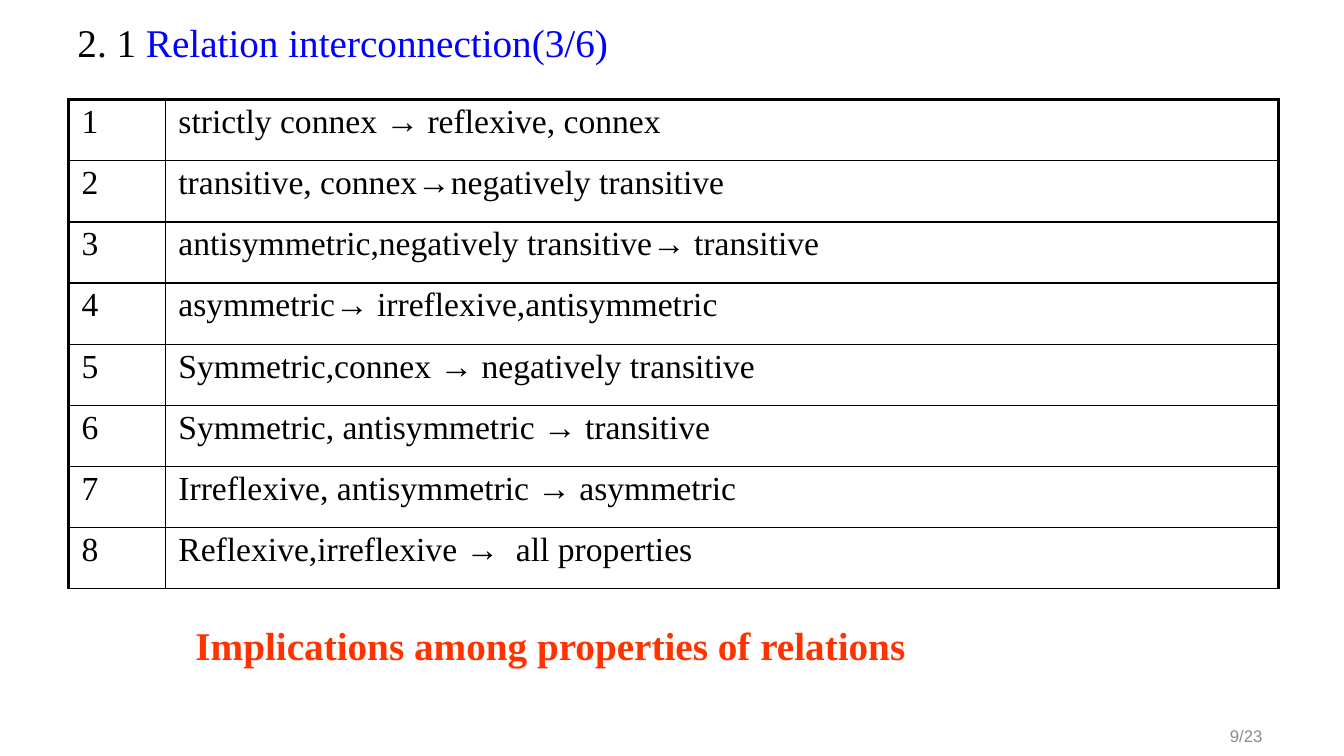
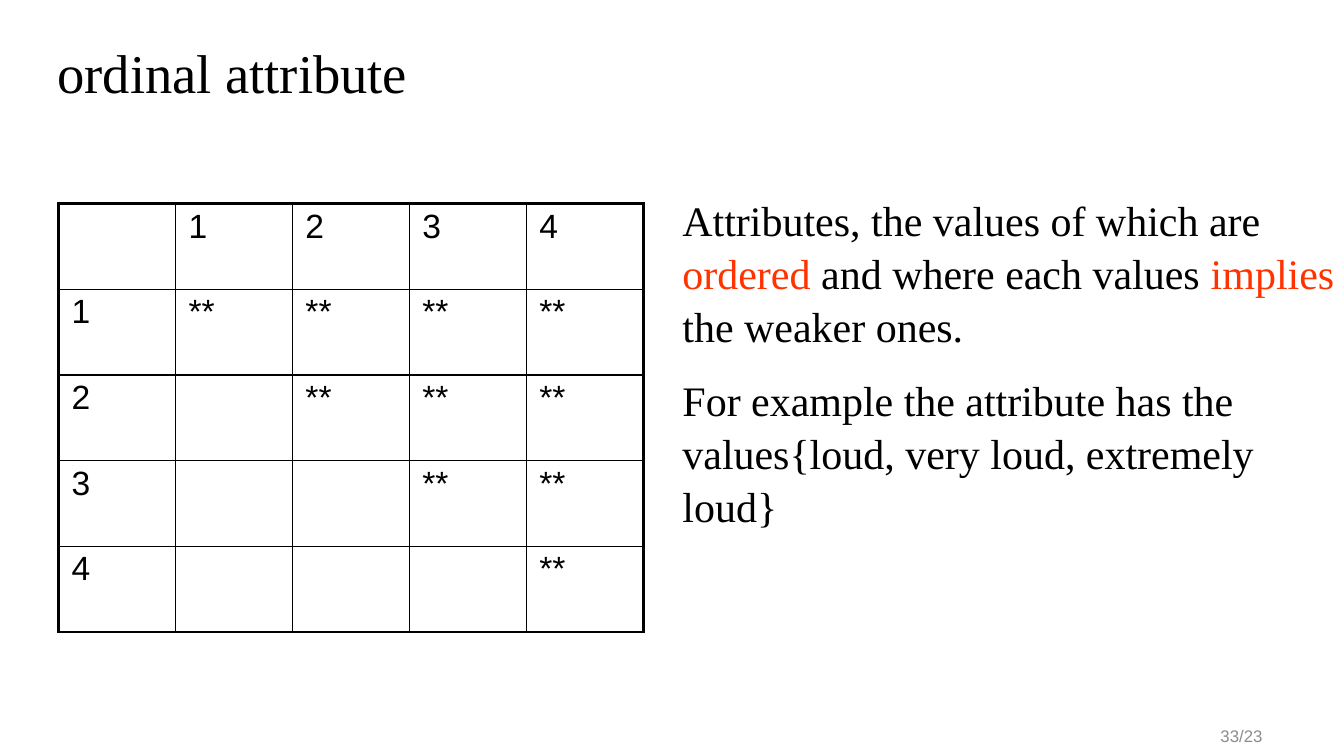
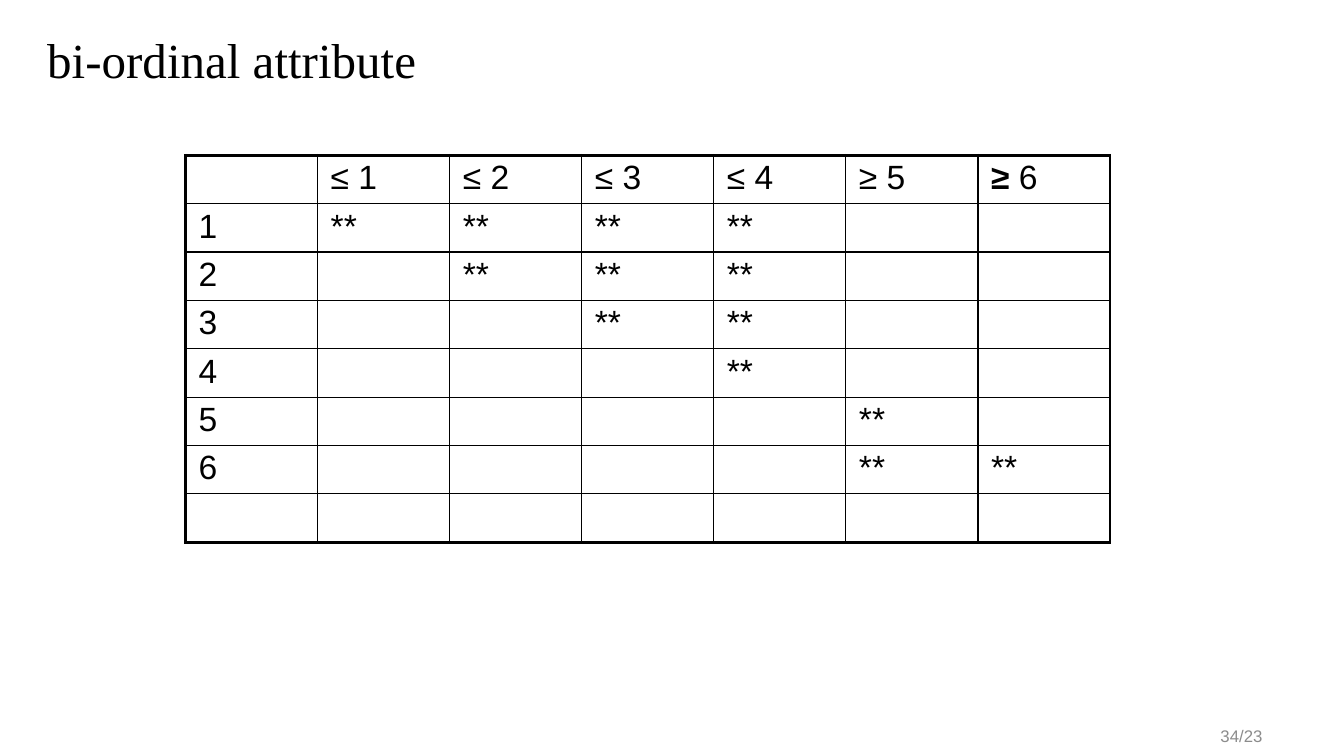
import collections
import dataclasses

import pptx
import pptx.dml.color
import pptx.enum.text
import pptx.oxml
import pptx.oxml.ns
import pptx.util

PX = 9144
ANCHOR = pptx.enum.text.MSO_ANCHOR
ALIGN = pptx.enum.text.PP_ALIGN

Run = collections.namedtuple("Run", "text color bold", defaults=(None, None))


@dataclasses.dataclass(frozen=True)
class Theme:
    ink: str = "000000"
    blue: str = "0000FF"
    red: str = "FF3300"
    gray: str = "8C8C8C"
    serif: str = "Times New Roman"
    sans: str = "Arial"
    foot: int = 12
    cell: int = 24
    head: int = 28
    body: int = 30
    thin: float = 1
    thick: float = 2.25


T = Theme()


def px(n):
    return pptx.util.Emu(n * PX)


def rgb(color):
    return pptx.dml.color.RGBColor.from_string(color)


def fill_par(par, runs, size, face, color=T.ink, bold=False):
    font = par.font
    font.size, font.name, font.bold = pptx.util.Pt(size), face, bold
    font.color.rgb = rgb(color)
    for item in [Run(runs)] if isinstance(runs, str) else runs:
        run = par.add_run()
        run.text = item.text
        if item.color:
            run.font.color.rgb = rgb(item.color)
        if item.bold:
            run.font.bold = True


def add_text(slide, box, pars, size, face=T.serif, color=T.ink, bold=False,
             anchor=ANCHOR.TOP, align=ALIGN.LEFT, line=1.0, gap=0):
    frame = slide.shapes.add_textbox(*map(px, box)).text_frame
    frame.word_wrap = True
    frame.vertical_anchor = anchor
    for i, runs in enumerate(pars):
        par = frame.add_paragraph() if i else frame.paragraphs[0]
        par.alignment, par.line_spacing = align, line
        if i:
            par.space_before = pptx.util.Pt(gap)
        fill_par(par, runs, size, face, color, bold)


def add_page(deck, box, title, size, number):
    slide = deck.slides.add_slide(deck.slide_layouts[6])
    add_text(slide, (962, 710, 300, 40), [number], T.foot, T.sans, T.gray,
             anchor=ANCHOR.MIDDLE, align=ALIGN.RIGHT)
    add_text(slide, box, [title], size, anchor=ANCHOR.MIDDLE, line=0.9)
    return slide


def edge(cell, side, width):
    line = pptx.oxml.parse_xml(
        f'<a:ln{side} {pptx.oxml.ns.nsdecls("a")} w="{pptx.util.Pt(width)}">'
        f'<a:solidFill><a:srgbClr val="{T.ink}"/></a:solidFill></a:ln{side}>')
    cell._tc.get_or_add_tcPr().append(line)


def add_grid(slide, box, cols, rows, face, base=T.thick):
    grid = slide.shapes.add_table(len(rows), len(cols), *map(px, box)).table
    grid.first_row = grid.horz_banding = False
    for col, width in zip(grid.columns, cols):
        col.width = px(width)
    for r, row in enumerate(rows):
        for c, runs in enumerate(row):
            cell = grid.cell(r, c)
            outer = {"L": (c == 0, T.thick), "R": (c == len(cols) - 1, T.thick),
                     "T": (r == 0, T.thick), "B": (r == len(rows) - 1, base)}
            for side, (rim, width) in outer.items():
                edge(cell, side, width if rim else T.thin)
            cell.fill.background()
            cell.margin_left = cell.margin_right = px(13)
            cell.margin_top = cell.margin_bottom = px(4)
            fill_par(cell.text_frame.paragraphs[0], runs or [], T.cell, face)


def mark(hit):
    return "**" if hit else ""


def add_rules(deck):
    title = [Run("2. 1 "), Run("Relation interconnection(3/6)", T.blue)]
    slide = add_page(deck, (67, 21, 1062, 47), title, T.head, "9/23")
    rules = ["strictly connex → reflexive, connex",
             "transitive, connex→negatively transitive",
             "antisymmetric,negatively transitive→ transitive",
             "asymmetric→ irreflexive,antisymmetric",
             "Symmetric,connex → negatively transitive",
             "Symmetric, antisymmetric → transitive",
             "Irreflexive, antisymmetric → asymmetric",
             "Reflexive,irreflexive →  all properties"]
    rows = [(str(i), rule) for i, rule in enumerate(rules, 1)]
    add_grid(slide, (68, 99, 1200, 485), (96, 1104), rows, T.serif, T.thin)
    add_text(slide, (184, 611, 1019, 57),
             ["Implications among properties of relations"],
             T.head, color=T.red, bold=True)


def add_order(deck):
    slide = add_page(deck, (47, 13, 1198, 125), "ordinal attribute", 39, "33/23")
    span = range(1, 5)
    rows = [["", *map(str, span)]]
    rows += [[str(r), *(mark(r <= c) for c in span)] for r in span]
    add_grid(slide, (58, 202, 580, 425), [116] * 5, rows, T.sans)
    pars = [[Run("Attributes, the values of which are "), Run("ordered", T.red),
             Run(" and where each values "), Run("implies", T.red),
             Run(" the weaker ones.")],
            "For example the attribute has the values"
            "{loud, very loud, extremely loud}"]
    add_text(slide, (667, 186, 667, 338), pars, T.body, line=1.05, gap=15)


def add_both(deck):
    slide = add_page(deck, (37, 0, 1208, 125), "bi-ordinal attribute", 35, "34/23")
    span = range(1, 7)
    rows = [["", *(f"≤ {c}" for c in span[:4]), "≥ 5",
             [Run("≥ ", bold=True), Run("6")]]]
    rows += [[str(r), *(mark(r <= c if c < 5 else r >= c) and
                        mark((r < 5) == (c < 5)) for c in span)] for r in span]
    rows.append([""] * 7)
    add_grid(slide, (184, 154, 917, 379), [131] * 7, rows, T.sans)


def main():
    deck = pptx.Presentation()
    deck.slide_width, deck.slide_height = px(1333), px(750)
    add_rules(deck)
    add_order(deck)
    add_both(deck)
    deck.save("out.pptx")


if __name__ == "__main__":
    main()
